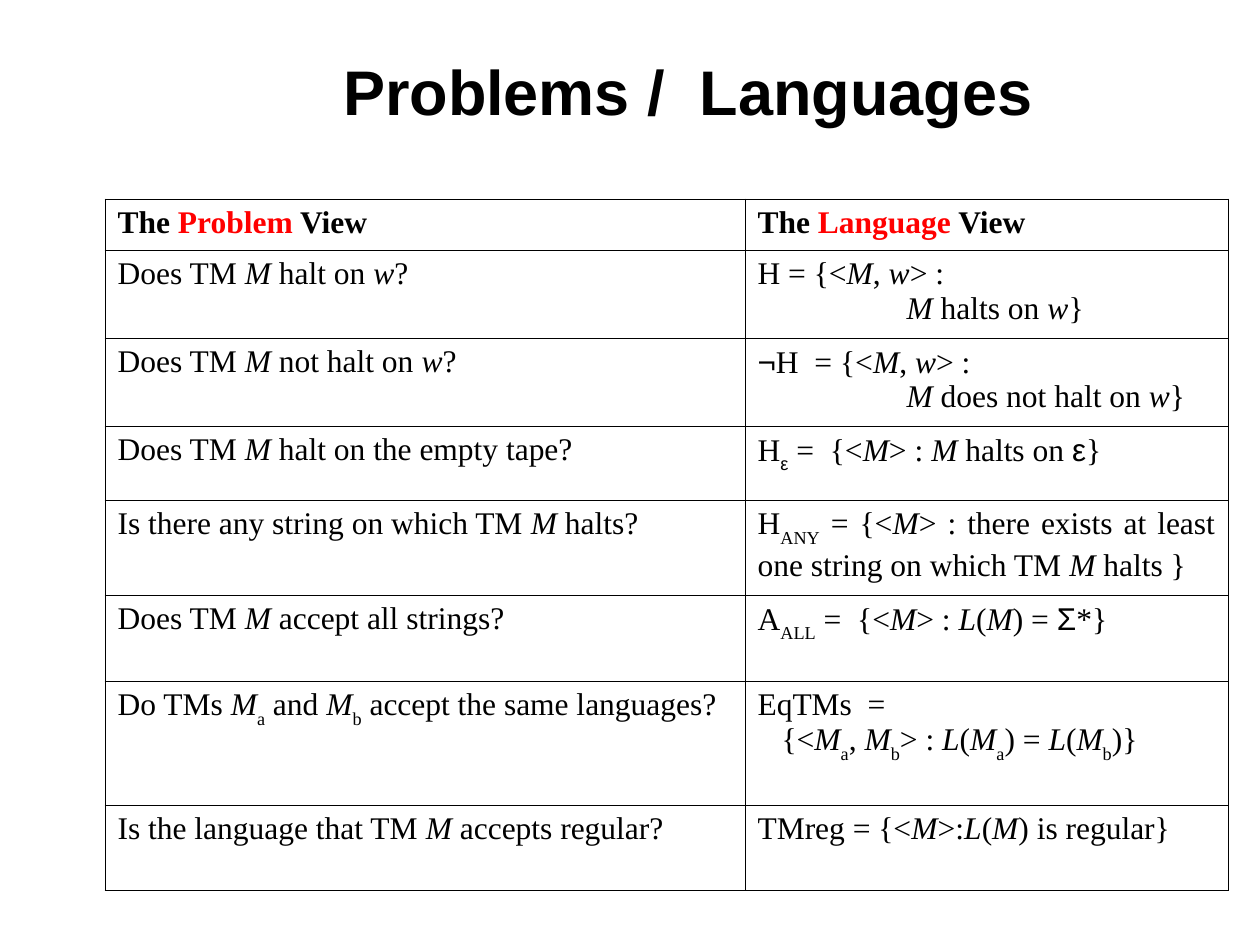
from dataclasses import dataclass, replace

from lxml import etree
from pptx import Presentation
from pptx import util as u
from pptx.dml import color
from pptx.enum import text
from pptx.oxml import ns

SCALE = u.Inches(1) / 126


@dataclass(frozen=True)
class Theme:
    ink: str = "000000"
    red: str = "FF0000"
    sans: str = "Arial"
    serif: str = "Times New Roman"
    title: int = 36
    body: int = 18
    line: float = 0.45
    sub: int = -30000


LOOK = Theme()


@dataclass(frozen=True)
class Run:
    words: str
    ital: bool = False
    bold: bool = False
    sub: bool = False
    font: str = LOOK.serif
    ink: str = LOOK.ink
    size: int = LOOK.body


@dataclass(frozen=True)
class Para:
    runs: tuple
    indent: int = 0
    align: text.PP_ALIGN = text.PP_ALIGN.JUSTIFY


@dataclass(frozen=True)
class Row:
    height: int
    left: tuple
    right: tuple


def px(size: int) -> u.Emu:
    return u.Emu(round(size * SCALE))


def line(*parts, indent: int = 0, align=text.PP_ALIGN.JUSTIFY) -> Para:
    runs = tuple(Run(p) if isinstance(p, str) else p for p in parts)
    return Para(runs, indent, align)


def low(words: str, font: str = LOOK.serif) -> Run:
    return Run(words, sub=True, font=font)


def head(word: str) -> tuple:
    the, view = Run("The ", bold=True), Run(" View", bold=True)
    return (line(the, replace(the, words=word, ink=LOOK.red), view),)


def write(frame, paras: tuple) -> None:
    frame.word_wrap = True
    for i, para in enumerate(paras):
        p = frame.add_paragraph() if i else frame.paragraphs[0]
        p.alignment = para.align
        if para.indent:
            props = p._p.get_or_add_pPr()
            props.set("marL", str(px(para.indent)))
            props.set("indent", "0")
        for part in para.runs:
            run = p.add_run()
            run.text = part.words
            font = run.font
            font.name, font.size = part.font, u.Pt(part.size)
            font.bold, font.italic = part.bold, part.ital
            font.color.rgb = color.RGBColor.from_string(part.ink)
            if part.sub:
                run._r.get_or_add_rPr().set("baseline", str(LOOK.sub))


def border(cell) -> None:
    cell.fill.background()
    props = cell._tc.get_or_add_tcPr()
    for i, side in enumerate("LRTB"):
        edge = etree.Element(ns.qn(f"a:ln{side}"), w=str(u.Pt(LOOK.line)))
        fill = etree.SubElement(edge, ns.qn("a:solidFill"))
        etree.SubElement(fill, ns.qn("a:srgbClr"), val=LOOK.ink)
        props.insert(i, edge)


def grid(slide, x: int, y: int, cols: tuple, rows: tuple) -> None:
    high = sum(row.height for row in rows)
    table = slide.shapes.add_table(
        len(rows), len(cols), px(x), px(y), px(sum(cols)), px(high)
    ).table
    table.first_row = table.horz_banding = False
    for col, wide in zip(table.columns, cols):
        col.width = px(wide)
    for r, row in enumerate(rows):
        table.rows[r].height = px(row.height)
        for c, paras in enumerate((row.left, row.right)):
            cell = table.cell(r, c)
            border(cell)
            write(cell.text_frame, paras)


def label(slide, x: int, y: int, wide: int, high: int, para: Para) -> None:
    frame = slide.shapes.add_textbox(px(x), px(y), px(wide), px(high)).text_frame
    frame.vertical_anchor = text.MSO_ANCHOR.MIDDLE
    write(frame, (para,))


M, W, L = (Run(name, ital=True) for name in "MwL")
MA, MB = (M, low("a")), (M, low("b"))
NOT, EPS, SIGMA = (Run(sign, font=LOOK.sans) for sign in "¬εΣ")
LEFT = text.PP_ALIGN.LEFT
DEEP, STEP = 149, 24

ROWS = (
    Row(51, head("Problem"), head("Language")),
    Row(88, (line("Does TM ", M, " halt on ", W, "?"),),
        (line("H = {<", M, ", ", W, "> :"),
         line(M, " halts on ", W, "}", indent=DEEP))),
    Row(88, (line("Does TM ", M, " not halt on ", W, "?"),),
        (line(NOT, "H  = {<", M, ", ", W, "> :"),
         line(M, " does not halt on ", W, "}", indent=DEEP))),
    Row(74, (line("Does TM ", M, " halt on the empty tape?"),),
        (line("H", low("ε", LOOK.sans), " =  {<", M, "> : ", M,
              " halts on ", EPS, "}", align=LEFT),)),
    Row(95, (line("Is there any string on which TM ", M, " halts?"),),
        (line("H", low("ANY"), " = {<", M,
              "> : there exists at least one string on which TM ",
              M, " halts }"),)),
    Row(86, (line("Does TM ", M, " accept all strings?"),),
        (line("A", low("ALL"), " =  {<", M, "> : ", L, "(", M, ") = ",
              SIGMA, "*}", align=LEFT),)),
    Row(124, (line("Do TMs ", *MA, " and ", *MB,
                   " accept the same languages?"),),
        (line("EqTMs  ="),
         line("{<", *MA, ", ", *MB, "> : ", L, "(", *MA, ") = ",
              L, "(", *MB, ")}", indent=STEP))),
    Row(85, (line("Is the language that TM ", M, " accepts regular?"),),
        (line("TMreg = {<", M, ">:", L, "(", M, ") is regular}"),)),
)


def main() -> None:
    deck = Presentation()
    deck.slide_width, deck.slide_height = px(1260), px(945)
    slide = deck.slides.add_slide(deck.slide_layouts[6])
    title = Run("Problems /  Languages", bold=True, font=LOOK.sans, size=LOOK.title)
    label(slide, 105, 32, 1166, 116, line(title, align=text.PP_ALIGN.CENTER))
    grid(slide, 105, 199, (640, 483), ROWS)
    deck.save("out.pptx")


if __name__ == "__main__":
    main()
